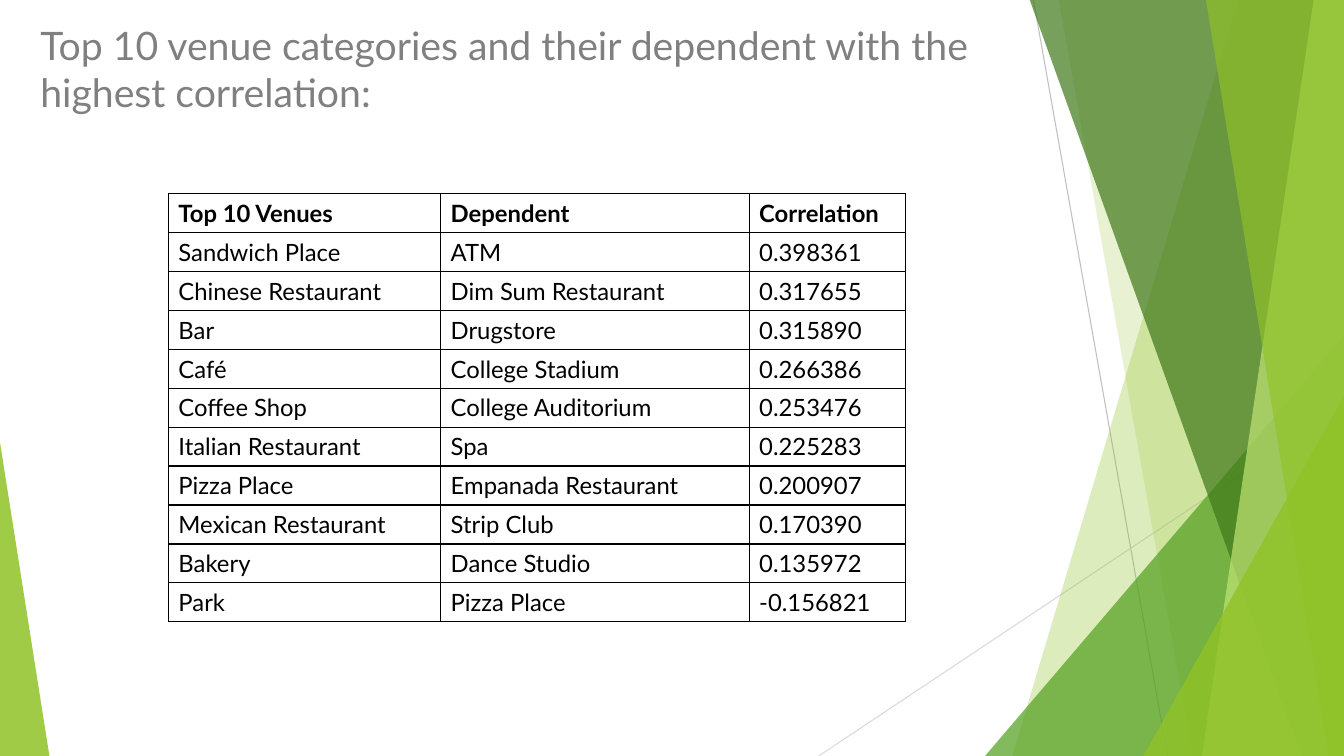
from lxml import etree
from pptx import Presentation
from pptx.dml.color import RGBColor
from pptx.enum.shapes import MSO_CONNECTOR, MSO_SHAPE
from pptx.enum.text import MSO_ANCHOR, MSO_AUTO_SIZE, PP_ALIGN
from pptx.oxml.ns import qn
from pptx.util import Inches, Pt

BLACK = RGBColor(0x00, 0x00, 0x00)
TITLE_GRAY = RGBColor(0x80, 0x80, 0x80)
MID_GRAY = RGBColor(0xBF, 0xBF, 0xBF)
PALE_GRAY = RGBColor(0xD9, 0xD9, 0xD9)
LIME = RGBColor(0x90, 0xC2, 0x26)
PALE_LIME = RGBColor(0xC0, 0xE4, 0x74)
GREEN = RGBColor(0x54, 0xA0, 0x21)
DARK_GREEN = RGBColor(0x3F, 0x78, 0x19)

WIDTH, HEIGHT = 13.33, 7.5
BAND_TOP = -0.01
TITLE = "Top 10 venue categories and their dependent with the highest correlation:"
COLUMN_WIDTHS = (2.7, 3.06, 1.55)
TABLE_HEIGHT = 4.25
VENUES = (
    ("Top 10 Venues", "Dependent", "Correlation"),
    ("Sandwich Place", "ATM", "0.398361"),
    ("Chinese Restaurant", "Dim Sum Restaurant", "0.317655"),
    ("Bar", "Drugstore", "0.315890"),
    ("Café", "College Stadium", "0.266386"),
    ("Coffee Shop", "College Auditorium", "0.253476"),
    ("Italian Restaurant", "Spa", "0.225283"),
    ("Pizza Place", "Empanada Restaurant", "0.200907"),
    ("Mexican Restaurant", "Strip Club", "0.170390"),
    ("Bakery", "Dance Studio", "0.135972"),
    ("Park", "Pizza Place", "-0.156821"),
)


class SlideBuilder:
    font_name = "Lato"

    def __init__(self, page):
        self.page = page

    def style_text(self, frame, size, color, bold=False):
        for para in frame.paragraphs:
            for span in para.runs:
                span.font.name = self.font_name
                span.font.size = Pt(size)
                span.font.color.rgb = color
                span.font.bold = bold

    def title(self, text, left, top, width, height):
        box = self.page.shapes.title
        box.left, box.top = Inches(left), Inches(top)
        box.width, box.height = Inches(width), Inches(height)
        frame = box.text_frame
        frame.text = text
        frame.word_wrap = True
        frame.auto_size = MSO_AUTO_SIZE.NONE
        frame.vertical_anchor = MSO_ANCHOR.TOP
        frame.paragraphs[0].alignment = PP_ALIGN.LEFT
        self.style_text(frame, 28, TITLE_GRAY)

    def line(self, start, end, color):
        points = [Inches(value) for value in (*start, *end)]
        line = self.page.shapes.add_connector(MSO_CONNECTOR.STRAIGHT, *points)
        line.line.color.rgb = color
        line.line.width = Pt(0.75)
        etree.SubElement(line.element.spPr, qn("a:effectLst"))

    def paint(self, shape, color, opacity):
        """Fill a shape with a see-through colour; opacity is in percent."""
        shape.shadow.inherit = False
        shape.line.fill.background()
        shape.fill.solid()
        shape.fill.fore_color.rgb = color
        tint = shape.element.spPr.find(qn("a:solidFill"))[0]
        etree.SubElement(tint, qn("a:alpha"), val=str(opacity * 1000))

    def band(self, top_left, bottom_left, color, opacity):
        """Draw a band from a slanted left side to the slide's right edge."""
        corners = [(top_left, BAND_TOP), (WIDTH, BAND_TOP),
                   (WIDTH, HEIGHT), (bottom_left, HEIGHT)]
        points = [(Inches(x), Inches(y)) for x, y in corners]
        outline = self.page.shapes.build_freeform(*points[0])
        outline.add_line_segments(points[1:], close=True)
        self.paint(outline.convert_to_shape(), color, opacity)

    def triangle(self, left, width, height, apex, color, opacity):
        """Stand a triangle on the slide's bottom edge; apex runs 0 to 1."""
        shape = self.page.shapes.add_shape(
            MSO_SHAPE.ISOSCELES_TRIANGLE, Inches(left),
            Inches(HEIGHT - height), Inches(width), Inches(height))
        shape.adjustments[0] = apex
        self.paint(shape, color, opacity)

    def border(self, cell):
        properties = cell._tc.get_or_add_tcPr()
        for side in ("a:lnL", "a:lnR", "a:lnT", "a:lnB"):
            edge = etree.SubElement(properties, qn(side), w=str(Pt(1)))
            fill = etree.SubElement(edge, qn("a:solidFill"))
            etree.SubElement(fill, qn("a:srgbClr"), val=str(BLACK))

    def table(self, rows, left, top, widths, height):
        table = self.page.shapes.add_table(
            len(rows), len(widths), Inches(left), Inches(top),
            Inches(sum(widths)), Inches(height)).table
        table.horz_banding = False
        for column, width in zip(table.columns, widths):
            column.width = Inches(width)
        for row_index, row in enumerate(rows):
            for column_index, text in enumerate(row):
                cell = table.cell(row_index, column_index)
                cell.text = text
                cell.vertical_anchor = MSO_ANCHOR.MIDDLE
                self.border(cell)
                cell.fill.background()
                self.style_text(cell.text_frame, 17, BLACK, row_index == 0)


def main():
    deck = Presentation()
    deck.slide_width, deck.slide_height = Inches(WIDTH), Inches(HEIGHT)
    title_only = deck.slide_layouts[5]
    builder = SlideBuilder(deck.slides.add_slide(title_only))

    builder.line((10.25, 0), (11.58, HEIGHT), MID_GRAY)
    builder.line((WIDTH, 4.03), (8.12, HEIGHT), PALE_GRAY)
    builder.band(12.28, 10.04, LIME, 30)
    builder.band(10.5, 11.83, LIME, 20)
    builder.triangle(9.77, 3.56, 4.17, 1, GREEN, 72)
    builder.band(10.21, 12.91, DARK_GREEN, 70)
    builder.band(13.03, 11.92, PALE_LIME, 70)
    builder.band(11.96, 13.18, LIME, 65)
    builder.triangle(11.34, 1.99, 3.57, 1, LIME, 80)
    builder.triangle(0, 0.49, 3.11, 0, LIME, 85)

    builder.table(VENUES, 1.67, 1.92, COLUMN_WIDTHS, TABLE_HEIGHT)
    builder.title(TITLE, 0.3, 0.16, 10.06, 1.04)
    deck.save("out.pptx")


if __name__ == "__main__":
    main()
